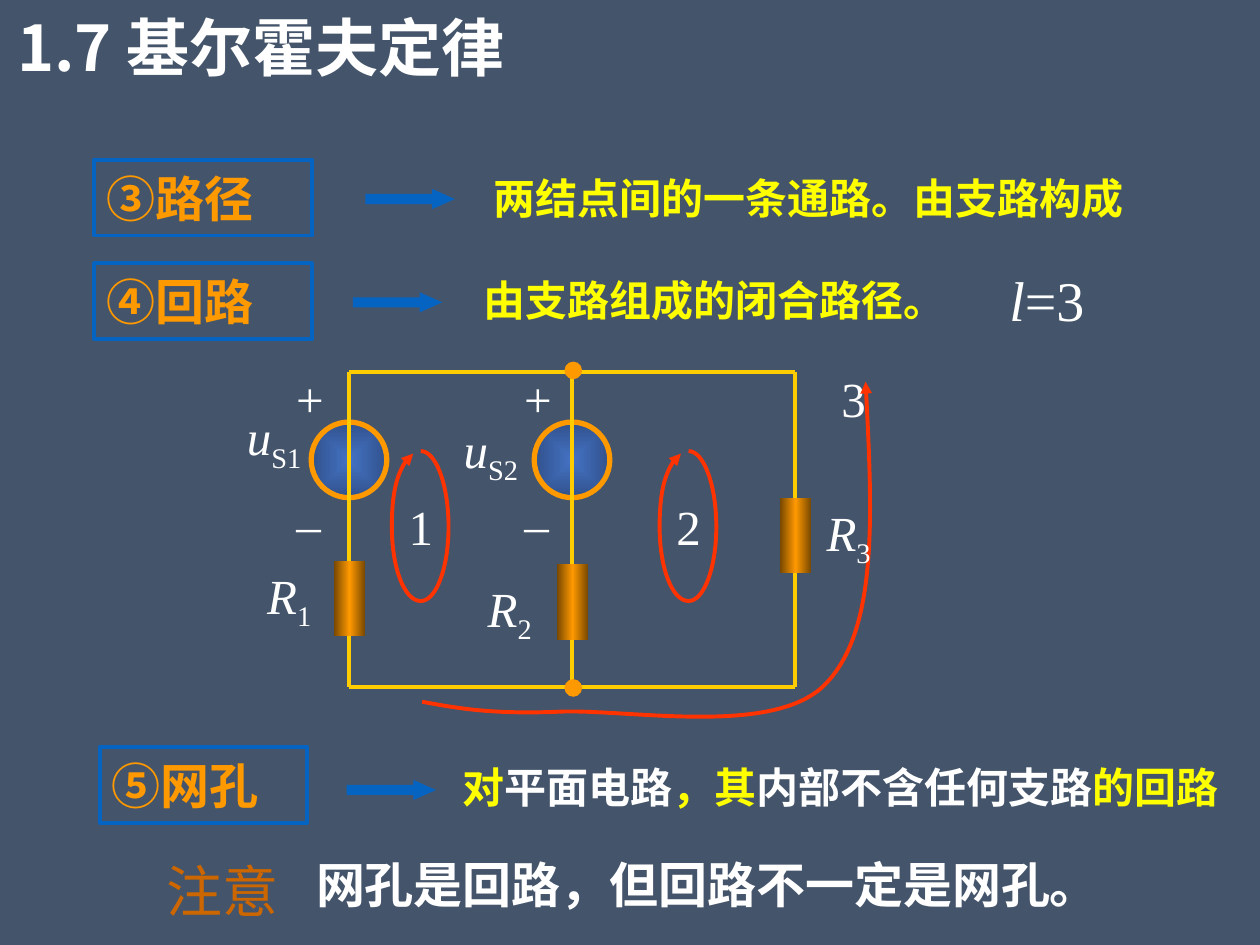
from lxml.etree import SubElement
from pptx import Presentation
from pptx.dml.color import RGBColor
from pptx.enum.shapes import MSO_CONNECTOR as LINK, MSO_SHAPE as SHAPE
from pptx.enum.text import MSO_ANCHOR as ANCHOR, PP_ALIGN as ALIGN
from pptx.oxml import parse_xml
from pptx.oxml.ns import nsdecls, qn
from pptx.util import Inches, Pt

CJK, SERIF = "Noto Sans CJK SC", "Times New Roman"
WHITE, YELLOW, ORANGE = "FFFFFF", "FFFF00", "FF9900"
BLUE, WIRE, RED = "0563C1", "FFCC00", "FF3300"
COLUMNS, ROWS = 100, 75
BRANCHES = [27.7, 45.4, 63.1]
TOP, BOTTOM = 29.5, 54.5
BALL = [(0, "4472C4"), (100, "31528C")]
TUBE = [(0, "764700"), (50, ORANGE), (100, "764700")]


def grid(*cells):
    """Turn grid cells of a tenth of an inch into lengths."""
    return [Inches(cell / 10) for cell in cells]


def colour(code):
    """Turn a hex string into a colour."""
    return RGBColor.from_string(code)


def add_outline(shape, code, width):
    """Draw the line of a shape or connector."""
    shape.line.color.rgb = colour(code)
    shape.line.width = Pt(width)


def add_spans(para, spans, size, font, bold):
    """Fill a paragraph with (text, colour, extra formats) runs."""
    for text, code, extra in spans:
        span = para.add_run()
        span.text = text
        formats = {"name": font, "size": Pt(size), "bold": bold, "italic": "italic" in extra}
        for name, value in formats.items():
            setattr(span.font, name, value)
        span.font.color.rgb = colour(code)
        props = span.font._element
        SubElement(props, qn("a:ea"), typeface=CJK)
        if "sub" in extra:
            props.set("baseline", "-25000")


def add_text(page, place, spans, size, font=SERIF, bold=False, align=ALIGN.LEFT,
             wrap=True, anchor=ANCHOR.MIDDLE):
    """Add a text box holding one paragraph."""
    frame = page.shapes.add_textbox(*grid(*place)).text_frame
    frame.word_wrap = wrap
    frame.vertical_anchor = anchor
    para = frame.paragraphs[0]
    para.alignment = align
    add_spans(para, spans, size, font, bold)


def add_label(page, place, text, sub="", italic=False, wrap=False, size=28):
    """Add a centred circuit label with an optional subscript."""
    spans = [(text, WHITE, "italic" if italic else "")]
    if sub:
        spans.append((sub, WHITE, "sub"))
    add_text(page, place, spans, size, align=ALIGN.CENTER, wrap=wrap)


def add_form(page, kind, place, fill=None):
    """Add a preset shape with a plain fill or none, and no line."""
    shape = page.shapes.add_shape(kind, *grid(*place))
    shape.shadow.inherit = False
    shape.line.fill.background()
    if fill:
        shape.fill.solid()
        shape.fill.fore_color.rgb = colour(fill)
    else:
        shape.fill.background()
    return shape


def add_shaded(page, kind, place, stops, direction):
    """Add a preset shape with a gradient fill."""
    shape = add_form(page, kind, place)
    marks = "".join(f'<a:gs pos="{share * 1000}"><a:srgbClr val="{code}"/></a:gs>'
                    for share, code in stops)
    fill = parse_xml(f'<a:gradFill {nsdecls("a")} rotWithShape="1">'
                     f'<a:gsLst>{marks}</a:gsLst>{direction}</a:gradFill>')
    props = shape.element.spPr
    props.replace(props.find(qn("a:noFill")), fill)
    return shape


def add_term(page, place, number, term, arrow):
    """Add a boxed, numbered term and the arrow to its meaning."""
    box = add_form(page, SHAPE.RECTANGLE, place)
    add_outline(box, BLUE, 2.25)
    frame = box.text_frame
    frame.word_wrap = True
    frame.vertical_anchor = ANCHOR.MIDDLE
    para = frame.paragraphs[0]
    para.alignment = ALIGN.LEFT
    props = para._p.get_or_add_pPr()
    indent = Inches(0.38)
    props.set("marL", str(indent))
    props.set("indent", str(-indent))
    SubElement(props, qn("a:buFont"), typeface=CJK)
    SubElement(props, qn("a:buAutoNum"), type="circleNumDbPlain", startAt=str(number))
    add_spans(para, [(term, ORANGE, "")], 28, CJK, True)
    pointer = add_form(page, SHAPE.RIGHT_ARROW, (*arrow, 7.1, 1.6), BLUE)
    pointer.adjustments[0], pointer.adjustments[1] = 0.5, 1.121


def add_wire(page, *ends):
    """Add a straight wire of the circuit."""
    wire = page.shapes.add_connector(LINK.STRAIGHT, *grid(*ends))
    add_outline(wire, WIRE, 2.25)
    SubElement(wire.element.spPr, qn("a:effectLst"))


def add_curve(page, points, shift=0):
    """Add a curved arrow through Bezier points, three to a segment."""
    start, *rest = [grid(x + shift, y) for x, y in points]
    builder = page.shapes.build_freeform(*start)
    builder.add_line_segments(rest, close=False)
    curve = builder.convert_to_shape()
    curve.shadow.inherit = False
    curve.fill.background()
    add_outline(curve, RED, 2.25)
    SubElement(curve.line._ln, qn("a:tailEnd"), type="triangle")
    steps = list(curve.element.iter(qn("a:lnTo")))
    for first in range(0, len(steps), 3):
        bend = SubElement(steps[first].getparent(), qn("a:cubicBezTo"))
        for step in steps[first:first + 3]:
            bend.append(step[0])
            step.getparent().remove(step)


def add_circuit(page):
    """Draw sources, wires, resistors, labels and nodes."""
    centre = '<a:path path="shape"><a:fillToRect l="50000" t="50000" r="50000" b="50000"/></a:path>'
    for x in BRANCHES[:2]:
        ball = add_shaded(page, SHAPE.OVAL, (x - 3, 33.5, 6, 6), BALL, centre)
        add_outline(ball, ORANGE, 3)
    for x in BRANCHES:
        add_wire(page, x, BOTTOM, x, TOP)
    for y in (BOTTOM, TOP):
        add_wire(page, BRANCHES[0], y, BRANCHES[-1], y)
    for x, y in zip(BRANCHES, (44.5, 44.8, 39.5)):
        add_shaded(page, SHAPE.RECTANGLE, (x - 1.2, y, 2.5, 6), TUBE, '<a:lin ang="0" scaled="1"/>')
    for x in (22.5, 40.6):
        add_label(page, (x, 28.7, 4.2, 5.7), "+")
        add_label(page, (x, 37.35, 4, 5.7), "_")
    for x, y, text, sub in [(18.2, 44.7, "R", "1"), (17, 32.1, "u", "S1"), (34.2, 33.1, "u", "S2"),
                            (35.7, 45.7, "R", "2"), (62.6, 39.7, "R", "3")]:
        add_label(page, (x, y, 9.5, 5.7), text, sub, italic=True, wrap=True)
    for y in (TOP - 0.1, BOTTOM + 0.1):
        add_form(page, SHAPE.OVAL, (BRANCHES[1] + 0.1 - 0.7, y - 0.7, 1.4, 1.4), ORANGE)


def add_loops(page):
    """Draw the three numbered loop arrows."""
    mesh = [(33.4, 35.8), (34.6, 35.8), (35.6, 38.5), (35.6, 41.8), (35.6, 45.1), (34.6, 47.7),
            (33.4, 47.7), (32.1, 47.7), (31.1, 45.1), (31.1, 41.8), (31.1, 39), (31.8, 36.6),
            (32.8, 36)]
    for number, shift in (("1", 0), ("2", 21.25)):
        add_curve(page, mesh, shift)
        add_label(page, (31.4 + shift, 38.9, 4, 5.7), number)
    add_label(page, (65.8, 28.7, 3.9, 5.7), "3")
    add_curve(page, [(33.5, 55.7), (36.2, 56.2), (38.9, 56.7), (44.2, 56.5), (49.6, 56.2),
                     (61.6, 58.6), (65.6, 54.2), (69.7, 49.9), (69.2, 40.1), (68.7, 30.3)])


def main():
    """Build the slide and save it."""
    deck = Presentation()
    deck.slide_width, deck.slide_height = grid(COLUMNS, ROWS)
    page = deck.slides.add_slide(deck.slide_layouts[6])
    page.background.fill.solid()
    page.background.fill.fore_color.rgb = colour("44546A")
    add_text(page, (0, 0.1, 42.5, 7.1), [("1.7 基尔霍夫定律 ", WHITE, "")], 36, CJK, True, ALIGN.CENTER)
    add_text(page, (38.2, 13.2, 54.3, 5), [("两结点间的一条通路。由支路构成", YELLOW, "")], 24, bold=True)
    add_text(page, (37.4, 21.3, 52.8, 5), [("由支路组成的闭合路径。", YELLOW, "")], 24, CJK, True)
    mesh_spans = [("对", YELLOW, ""), ("平面电路", WHITE, ""), ("，其", YELLOW, ""),
                  ("内部不含任何支路", WHITE, ""), ("的回路", YELLOW, "")]
    add_text(page, (35.7, 59.9, 63, 5), mesh_spans, 24, bold=True)
    add_text(page, (79.1, 20.6, 8, 6.3), [("l", WHITE, "italic"), ("=3", WHITE, "")], 32,
             align=ALIGN.CENTER, wrap=False)
    add_loops(page)
    add_term(page, (7.5, 12.7, 17.3, 6), 3, "路径", (29, 15))
    add_term(page, (7.5, 20.9, 17.3, 6), 4, "回路", (28, 23.2))
    add_term(page, (7.9, 59.3, 16.5, 6), 5, "网孔", (27.5, 61.9))
    add_text(page, (24.1, 67.3, 66.1, 5.7), [("网孔是回路，但回路不一定是网孔。", WHITE, "")], 28, bold=True)
    add_circuit(page)
    add_text(page, (12.2, 67.5, 10.9, 6.3), [("注意", "CC6600", "")], 32, "Arial", wrap=False,
             anchor=ANCHOR.TOP)
    deck.save("out.pptx")


if __name__ == "__main__":
    main()
